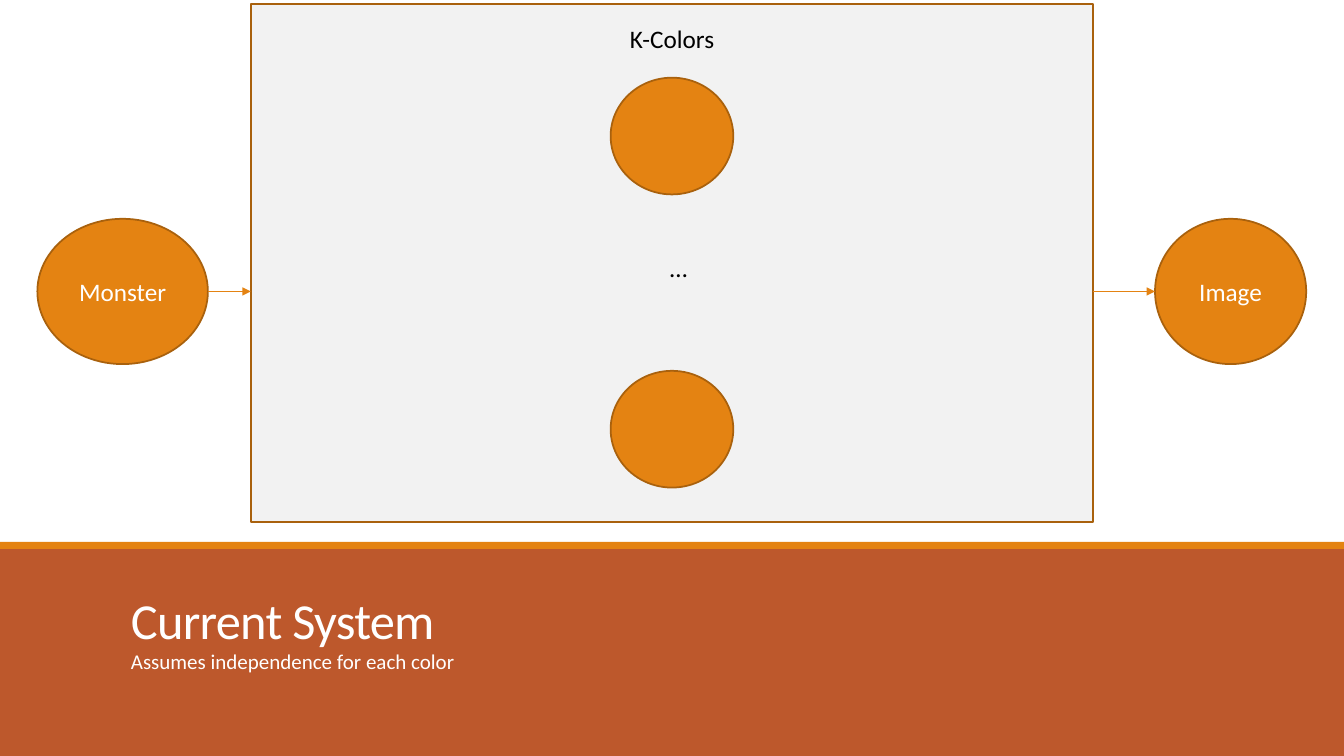
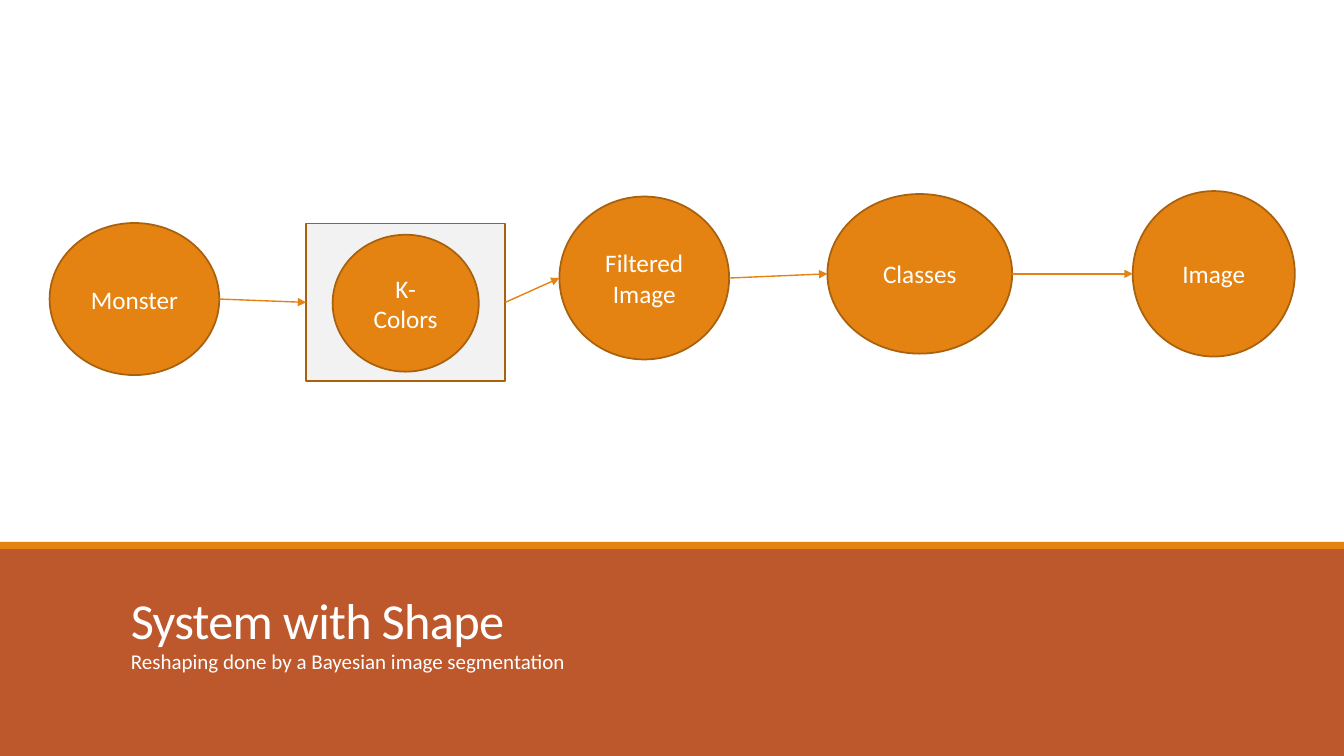
import pptx
import pptx.util
import pptx.dml.color
import pptx.enum.shapes
import pptx.enum.text
import pptx.oxml.ns
import lxml.etree

RGB = pptx.dml.color.RGBColor
ORANGE = RGB(0xE4, 0x83, 0x12)
BROWN = RGB(0xA9, 0x61, 0x0D)
RUST = RGB(0xBD, 0x58, 0x2C)
GREY = RGB(0xF2, 0xF2, 0xF2)
WHITE = RGB(0xFF, 0xFF, 0xFF)
BLACK = RGB(0x00, 0x00, 0x00)

KINDS = pptx.enum.shapes.MSO_SHAPE
ALIGN = pptx.enum.text.PP_ALIGN
ANCHOR = pptx.enum.text.MSO_ANCHOR
COLS, ROWS = 160, 90
LEFT, RIGHT = 1, 3

TITLE = {"size": 36, "frame": {"vertical_anchor": ANCHOR.BOTTOM},
         "para": {"line_spacing": 0.85}, "track": -50}
NOTE = {"size": 15, "frame": {"vertical_anchor": ANCHOR.TOP},
        "para": {"line_spacing": 0.9, "space_after": pptx.util.Pt(6)}}
FLUSH = {"word_wrap": True, "margin_top": 0, "margin_bottom": 0}
NODE = {"frame": {"word_wrap": True, "vertical_anchor": ANCHOR.MIDDLE},
        "para": {"alignment": ALIGN.CENTER}}
LABEL = {"frame": {"word_wrap": False, "vertical_anchor": ANCHOR.MIDDLE},
         "para": {"alignment": ALIGN.CENTER}, "color": BLACK}


def apply(target, values):
    for name, value in values.items():
        setattr(target, name, value)


def child(parent, tag, **values):
    return lxml.etree.SubElement(parent, pptx.oxml.ns.qn(tag), values)


class Deck:
    """Holds the style and the current slide; lengths are grid columns and rows."""

    font = "Calibri"

    def __init__(self):
        self.file = pptx.Presentation()
        self.file.slide_width = pptx.util.Inches(13.33)
        self.file.slide_height = pptx.util.Inches(7.5)
        self.slide = None

    def x(self, cols):
        return round(self.file.slide_width * cols / COLS)

    def y(self, rows):
        return round(self.file.slide_height * rows / ROWS)

    def cell(self, col, row, wide, high):
        return self.x(col), self.y(row), self.x(wide), self.y(high)

    def page(self, title, note):
        """Start a slide with its bands, title and note."""
        self.slide = self.file.slides.add_slide(self.file.slide_layouts[6])
        self.shape(KINDS.RECTANGLE, (0, 65, COLS, 25), RUST)
        self.shape(KINDS.RECTANGLE, (0, 64.5, COLS, 0.84), ORANGE)
        for row, high, words, form in ((66.6, 10.8, title, TITLE),
                                       (77.5, 7.8, note, NOTE)):
            box = self.slide.shapes.add_textbox(*self.cell(14.4, row, 132.7, high))
            apply(box.text_frame, FLUSH)
            self.label(box, words, form)

    def label(self, shape, words, form):
        apply(shape.text_frame, form["frame"])
        para = shape.text_frame.paragraphs[0]
        apply(para, form["para"])
        run = para.add_run()
        run.text = words
        apply(run.font, {"name": self.font,
                         "size": pptx.util.Pt(form.get("size", 18))})
        run.font.color.rgb = form.get("color", WHITE)
        if "track" in form:
            run._r.get_or_add_rPr().set("spc", str(form["track"]))

    def shape(self, kind, place, fill, edge=None):
        shape = self.slide.shapes.add_shape(kind, *self.cell(*place))
        shape.shadow.inherit = False
        shape.fill.solid()
        shape.fill.fore_color.rgb = fill
        if edge is None:
            shape.line.fill.background()
        else:
            shape.line.color.rgb = edge
            shape.line.width = pptx.util.Pt(1.25)
        return shape

    def panel(self, mid, row, wide, high):
        """Draw a grey frame round its centre."""
        place = mid - wide / 2, row - high / 2, wide, high
        return self.shape(KINDS.RECTANGLE, place, GREY, BROWN)

    def node(self, mid, row, wide, high, words=""):
        """Draw an ellipse round its centre."""
        place = mid - wide / 2, row - high / 2, wide, high
        shape = self.shape(KINDS.OVAL, place, ORANGE, BROWN)
        if words:
            self.label(shape, words, NODE)
        return shape

    def text(self, mid, row, words):
        """Draw black text round its centre."""
        wide, high = 12.6, 4.8
        place = self.cell(mid - wide / 2, row - high / 2, wide, high)
        self.label(self.slide.shapes.add_textbox(*place), words, LABEL)

    def link(self, start, end, row=None):
        """Draw an arrow from right side to left side, level at row if given."""
        tops = [self.y(row) if row else s.top + s.height // 2 for s in (start, end)]
        line = self.slide.shapes.add_connector(
            pptx.enum.shapes.MSO_CONNECTOR.STRAIGHT,
            start.left + start.width, tops[0], end.left, tops[1])
        if row is None:
            if start.auto_shape_type == KINDS.RECTANGLE:
                line.begin_connect(start, RIGHT)
            if end.auto_shape_type == KINDS.RECTANGLE:
                line.end_connect(end, LEFT)
        line.line.color.rgb = ORANGE
        line.line.width = pptx.util.Pt(1)
        props = line._element.spPr
        child(props.find(pptx.oxml.ns.qn("a:ln")), "a:tailEnd", type="triangle")
        child(props, "a:effectLst")


def current(deck):
    deck.page("Current System", "Assumes independence for each color")
    mid, row = COLS / 2, 34.7
    panel = deck.panel(mid, 31.3, 100.3, 61.7)
    source = deck.node(14.6, row, 20.3, 17.3, "Monster")
    for spot in (16.2, 51.1):
        deck.node(mid, spot, 14.6, 13.9)
    deck.text(mid, 4.6, "K-Colors")
    deck.text(80.8, 31.9, "…")
    image = deck.node(146.5, row, 18, 17.3, "Image")
    deck.link(source, panel, row)
    deck.link(panel, image, row)


def shaped(deck):
    deck.page("System with Shape", "Reshaping done by a Bayesian image segmentation")
    panel = deck.panel(48.3, 36, 23.7, 18.8)
    deck.node(48.3, 36.1, 17.4, 16.3, "K-Colors")
    source = deck.node(16, 35.6, 20.2, 18.1, "Monster")
    rest = [deck.node(*item) for item in (
        (76.7, 33.1, 20.2, 19.4, "Filtered Image"),
        (109.5, 32.6, 22, 19, "Classes"),
        (144.5, 32.6, 19.3, 19.7, "Image"))]
    chain = [source, panel] + rest
    for start, end in zip(chain, chain[1:]):
        deck.link(start, end)


def main():
    deck = Deck()
    current(deck)
    shaped(deck)
    deck.file.save("out.pptx")


if __name__ == "__main__":
    main()
